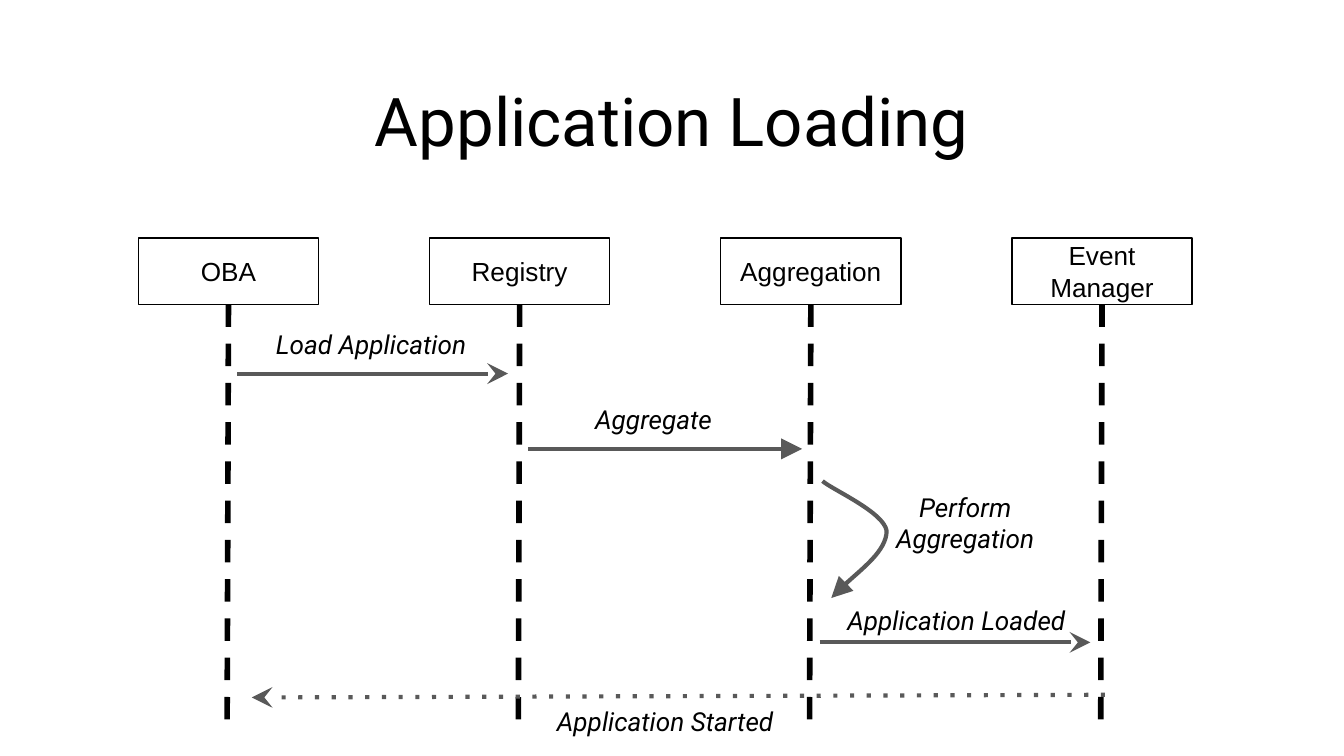
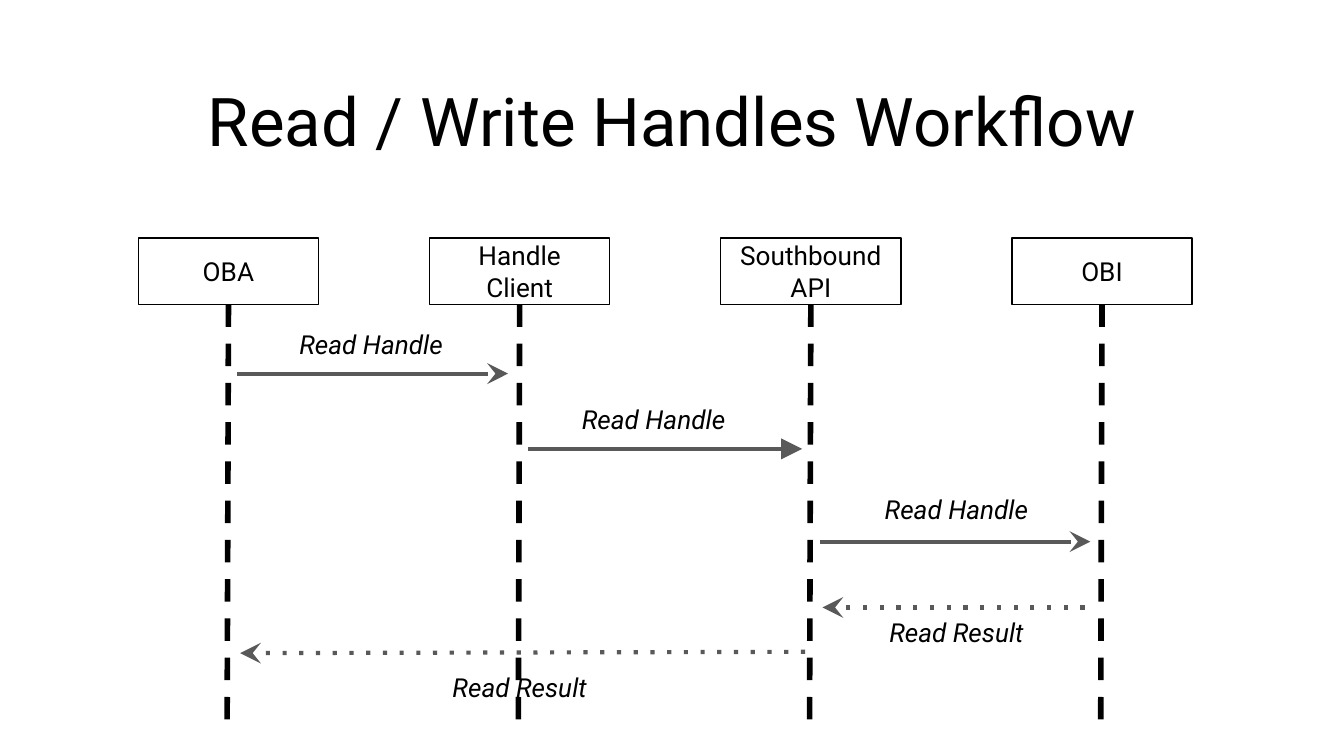
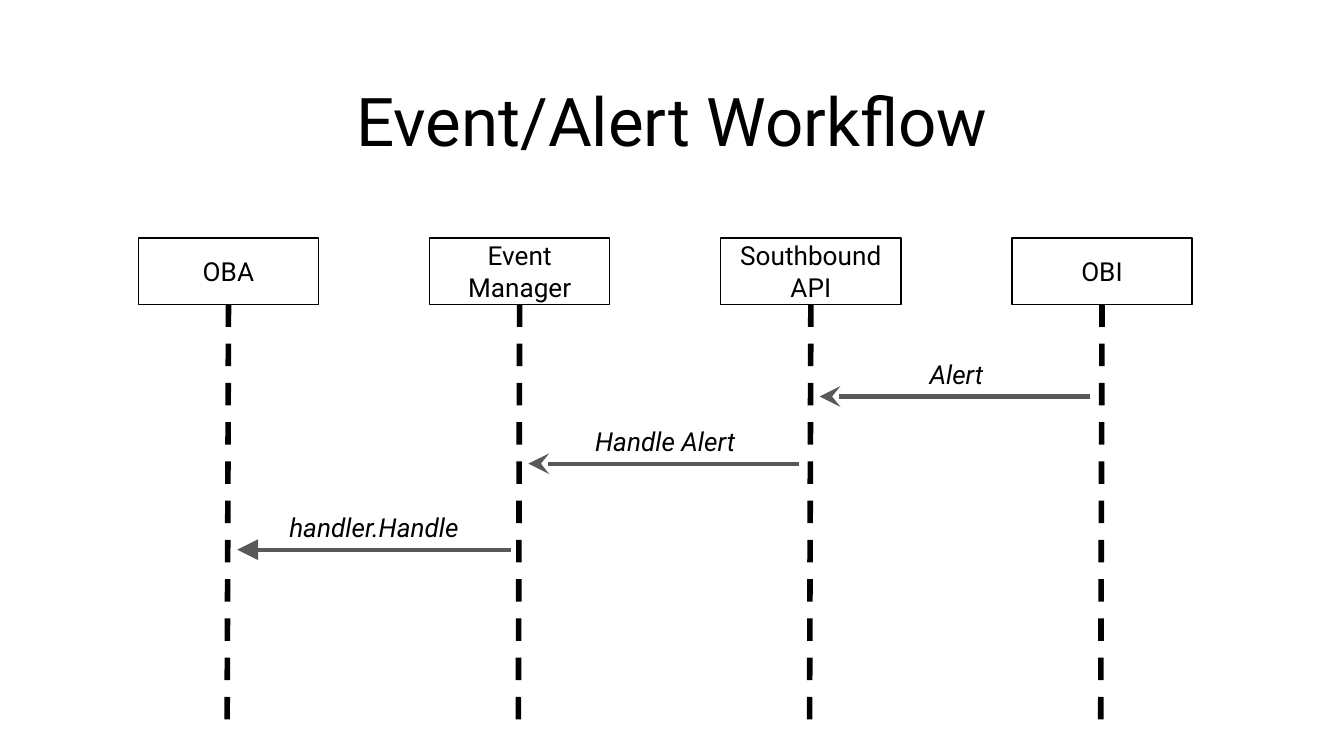
from lxml.etree import SubElement
from pptx import Presentation
from pptx.dml.color import RGBColor
from pptx.enum.shapes import MSO_CONNECTOR, MSO_SHAPE
from pptx.enum.text import MSO_ANCHOR, MSO_AUTO_SIZE, PP_ALIGN
from pptx.oxml.ns import qn
from pptx.util import Inches, Pt

BLACK = RGBColor(0x00, 0x00, 0x00)
GRAY = RGBColor(0x59, 0x59, 0x59)

SLIDE_WIDTH = Inches(10)
SLIDE_HEIGHT = SLIDE_WIDTH * 9 // 16
FIRST_COLUMN, LAST_COLUMN = 1.70, 8.20
COLUMN = (LAST_COLUMN - FIRST_COLUMN) / 3
ROW = 0.1
BOX_TOP, BOX_BOTTOM, LIFELINE_END = 17.7, 22.65, 54.45
BOX_WIDTH, LABEL_WIDTH = 1.34, 2.01
LABEL_ROWS = 4.5

FRAME_FORMAT = {
    "word_wrap": True,
    "auto_size": MSO_AUTO_SIZE.NONE,
    "margin_left": Inches(0.1),
    "margin_right": Inches(0.1),
    "margin_top": Inches(0.1),
    "margin_bottom": Inches(0.1),
}
TITLE_FONT = {"name": "Roboto", "size": Pt(36), "bold": False, "italic": False}
BOX_FONT = {"name": "Roboto", "size": Pt(14), "italic": False}
LABEL_FONT = {"name": "Roboto", "size": Pt(14), "italic": True}

DIAGRAMS = [
    {
        "title": "Application Loading",
        "participants": ["OBA", "Registry", "Aggregation", "Event Manager"],
        "box_font": "Arial",
        "messages": [
            (0.03, 0.96, 27.8, 27.8, "stealth", None),
            (1.03, 1.97, 33.4, 33.4, "triangle", None),
            (2.03, 2.96, 47.8, 47.8, "stealth", None),
            (3.01, 0.08, 51.7, 51.9, "stealth", "dot"),
        ],
        "loops": [
            [(2.04, 35.8),
             (2.07, 36.4), (2.25, 38.1), (2.26, 39.5),
             (2.26, 41.0), (2.10, 43.7), (2.07, 44.5)],
        ],
        "labels": [
            (0.49, 23.35, "Load Application"),
            (1.46, 28.95, "Aggregate"),
            (2.53, 36.65, "Perform\nAggregation"),
            (2.50, 43.9, "Application Loaded"),
            (1.50, 51.4, "Application Started"),
        ],
    },
    {
        "title": "Read / Write Handles Workflow",
        "participants": ["OBA", "Handle Client", "Southbound API", "OBI"],
        "messages": [
            (0.03, 0.96, 27.8, 27.8, "stealth", None),
            (1.03, 1.97, 33.4, 33.4, "triangle", None),
            (2.03, 2.96, 40.3, 40.3, "stealth", None),
            (1.98, 0.04, 48.5, 48.6, "stealth", "dot"),
            (2.94, 2.04, 45.2, 45.2, "stealth", "dot"),
        ],
        "labels": [
            (0.49, 23.35, "Read Handle"),
            (1.46, 28.95, "Read Handle"),
            (2.50, 35.6, "Read Handle"),
            (1.00, 48.9, "Read Result"),
            (2.50, 44.75, "Read Result"),
        ],
    },
    {
        "title": "Event/Alert Workflow",
        "participants": ["OBA", "Event Manager", "Southbound API", "OBI"],
        "messages": [
            (2.96, 2.03, 29.5, 29.5, "stealth", None),
            (0.97, 0.03, 40.9, 40.9, "triangle", None),
            (1.96, 1.03, 34.5, 34.5, "stealth", None),
        ],
        "labels": [
            (0.50, 37.0, "handler.Handle"),
            (2.50, 25.6, "Alert"),
            (1.50, 30.6, "Handle Alert"),
        ],
    },
]


def column_x(column):
    return Inches(FIRST_COLUMN + column * COLUMN)


def row_y(row):
    return Inches(row * ROW)


def apply_format(target, values):
    for name, value in values.items():
        setattr(target, name, value)


def write_text(box, text, font, anchor):
    frame = box.text_frame
    apply_format(frame, {**FRAME_FORMAT, "vertical_anchor": anchor})
    frame.text = text
    for para in frame.paragraphs:
        para.alignment = PP_ALIGN.CENTER
        for span in para.runs:
            apply_format(span.font, font)
            span.font.color.rgb = BLACK


def style_line(shape, color, width, dash=None, arrow=None):
    shape.line.color.rgb = color
    shape.line.width = Pt(width)
    outline = shape._element.spPr.find(qn("a:ln"))
    if dash:
        SubElement(outline, qn("a:prstDash"), val=dash)
    if arrow:
        SubElement(outline, qn("a:tailEnd"), type=arrow, w="lg", len="lg")


def add_line(shapes, start, end, **style):
    line = shapes.add_connector(MSO_CONNECTOR.STRAIGHT, *start, *end)
    style_line(line, **style)
    SubElement(line._element.spPr, qn("a:effectLst"))


def add_title(page, text):
    title = page.shapes.title
    apply_format(title, {
        "left": Inches(0.34),
        "top": Inches(0.49),
        "width": SLIDE_WIDTH - 2 * Inches(0.34),
        "height": Inches(0.63),
    })
    write_text(title, text, TITLE_FONT, MSO_ANCHOR.TOP)


def add_participant(page, column, name, font):
    group = page.shapes.add_group_shape()
    center = column_x(column)
    add_line(group.shapes, (center, row_y(BOX_BOTTOM)),
             (center - Inches(0.01), row_y(LIFELINE_END)),
             color=BLACK, width=3, dash="dash")
    width = Inches(BOX_WIDTH)
    box = group.shapes.add_shape(
        MSO_SHAPE.RECTANGLE, center - width // 2, row_y(BOX_TOP),
        width, row_y(BOX_BOTTOM - BOX_TOP))
    box.shadow.inherit = False
    box.fill.background()
    style_line(box, BLACK, 0.75)
    write_text(box, name, font, MSO_ANCHOR.MIDDLE)


def add_message(page, sender, receiver, start_row, end_row, arrow, dash):
    add_line(page.shapes, (column_x(sender), row_y(start_row)),
             (column_x(receiver), row_y(end_row)),
             color=GRAY, width=2.25, dash=dash, arrow=arrow)


def add_loop(page, points):
    start, *controls = [(column_x(column), row_y(row)) for column, row in points]
    builder = page.shapes.build_freeform(*start)
    builder.add_line_segments(controls, close=False)
    curve = builder.convert_to_shape()
    curve.shadow.inherit = False
    curve.fill.background()
    style_line(curve, GRAY, 2.25, arrow="triangle")
    route = curve._element.find(".//" + qn("a:path"))
    segments = route.findall(qn("a:lnTo"))
    for first in range(0, len(segments), 3):
        bezier = SubElement(route, qn("a:cubicBezTo"))
        for segment in segments[first:first + 3]:
            bezier.append(segment[0])
            route.remove(segment)


def add_label(page, column, row, text):
    width = Inches(LABEL_WIDTH)
    label = page.shapes.add_textbox(
        column_x(column) - width // 2, row_y(row), width, row_y(LABEL_ROWS))
    write_text(label, text, LABEL_FONT, MSO_ANCHOR.MIDDLE)


def add_diagram(deck, diagram):
    page = deck.slides.add_slide(deck.slide_layouts[5])
    add_title(page, diagram["title"])
    font = {**BOX_FONT, "name": diagram.get("box_font", "Roboto")}
    for column, name in enumerate(diagram["participants"]):
        add_participant(page, column, name, font)
    for message in diagram["messages"]:
        add_message(page, *message)
    for points in diagram.get("loops", []):
        add_loop(page, points)
    for label in diagram["labels"]:
        add_label(page, *label)


def main():
    deck = Presentation()
    deck.slide_width, deck.slide_height = SLIDE_WIDTH, SLIDE_HEIGHT
    for diagram in DIAGRAMS:
        add_diagram(deck, diagram)
    deck.save("out.pptx")


if __name__ == "__main__":
    main()
